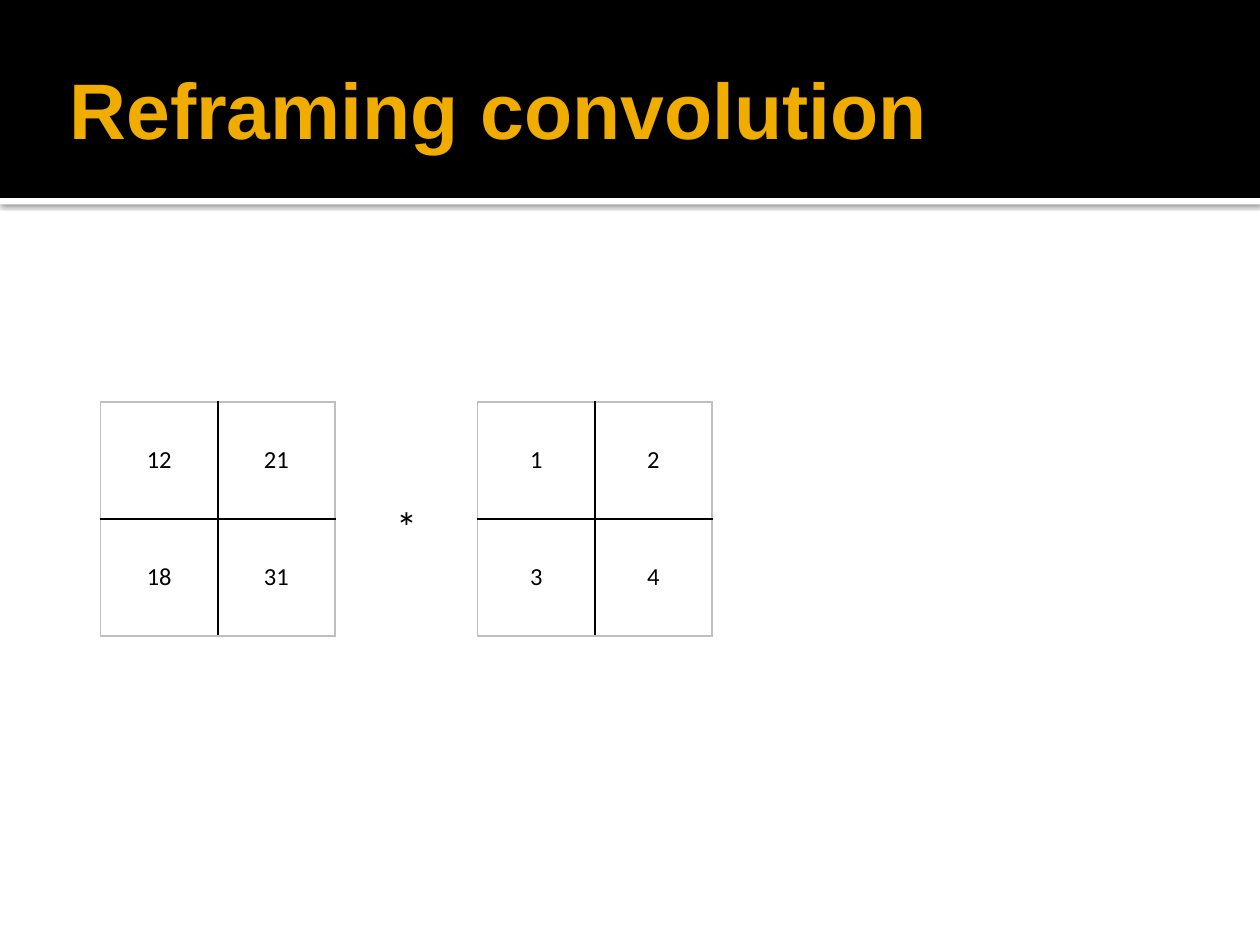
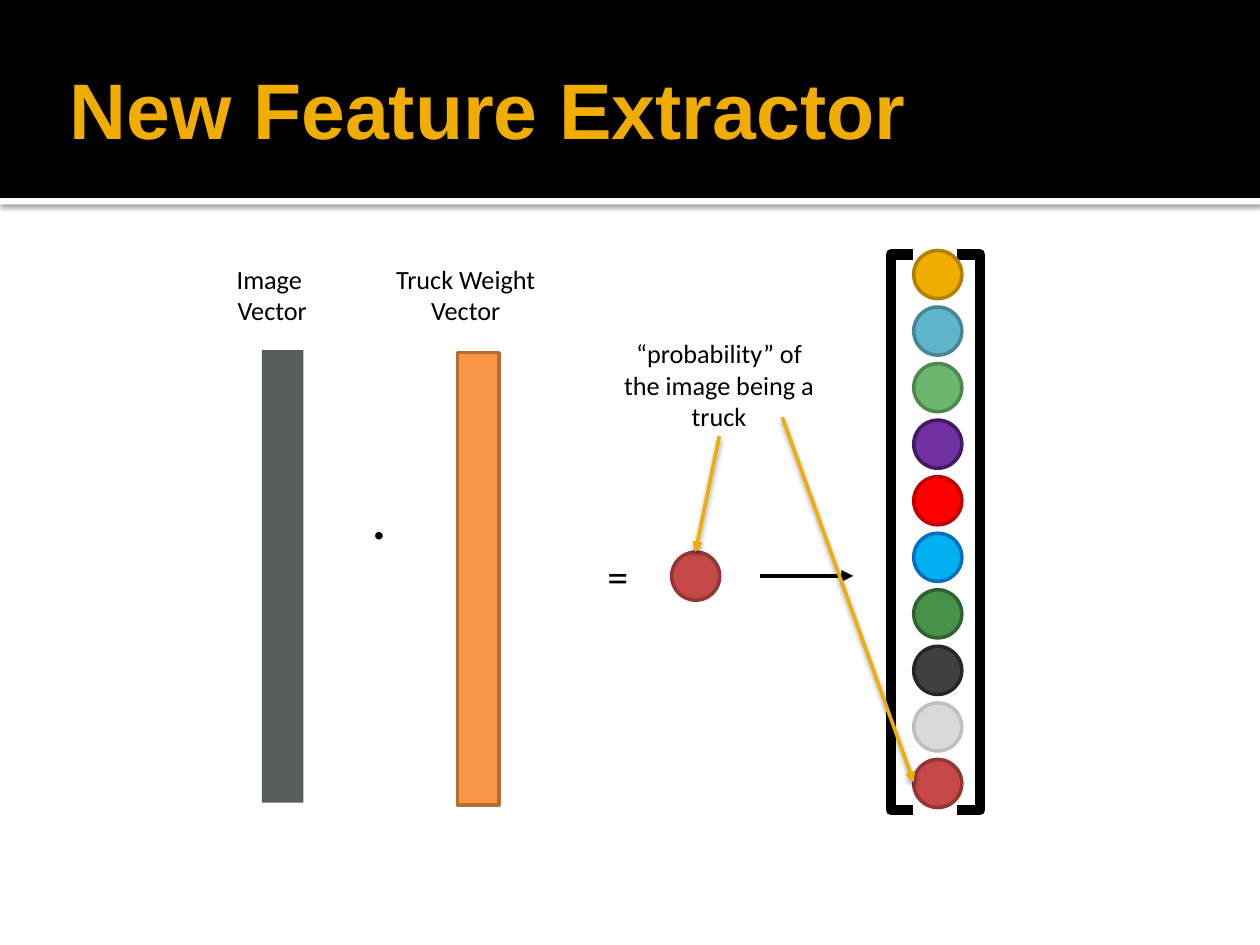
from pptx import Presentation
from pptx.dml.color import RGBColor
from pptx.enum.shapes import MSO_CONNECTOR, MSO_SHAPE
from pptx.enum.text import MSO_ANCHOR, PP_ALIGN
from pptx.oxml import parse_xml
from pptx.oxml.ns import nsdecls, qn
from pptx.util import Cm, Pt

RECT, OVAL = MSO_SHAPE.RECTANGLE, MSO_SHAPE.OVAL
STRAIGHT = MSO_CONNECTOR.STRAIGHT
TOP, MIDDLE = MSO_ANCHOR.TOP, MSO_ANCHOR.MIDDLE
LEFT, CENTER = PP_ALIGN.LEFT, PP_ALIGN.CENTER

TITLE_FONT, BODY_FONT = "Arial", "Calibri"
BLACK = RGBColor(0x00, 0x00, 0x00)
WHITE = RGBColor(0xFF, 0xFF, 0xFF)
GOLD = RGBColor(0xF0, 0xAD, 0x00)
SLATE = RGBColor(0x57, 0x5D, 0x59)
ORANGE = RGBColor(0xF8, 0x96, 0x46)
BROWN = RGBColor(0xB7, 0x6D, 0x31)
FRAME_GREY = RGBColor(0xBF, 0xBF, 0xBF)

# Fill and outline of each class score, top to bottom
TRUCK = (RGBColor(0xC6, 0x48, 0x47), RGBColor(0x92, 0x35, 0x35))
SCORES = [
    (GOLD, RGBColor(0xB2, 0x80, 0x00)),
    (RGBColor(0x60, 0xB5, 0xCC), RGBColor(0x47, 0x86, 0x97)),
    (RGBColor(0x6B, 0xB7, 0x6D), RGBColor(0x4F, 0x87, 0x51)),
    (RGBColor(0x70, 0x30, 0xA0), RGBColor(0x42, 0x19, 0x62)),
    (RGBColor(0xFF, 0x00, 0x00), RGBColor(0xC0, 0x00, 0x00)),
    (RGBColor(0x00, 0xB0, 0xF0), RGBColor(0x00, 0x70, 0xC0)),
    (RGBColor(0x47, 0x92, 0x49), RGBColor(0x2F, 0x62, 0x31)),
    (RGBColor(0x40, 0x40, 0x40), RGBColor(0x26, 0x26, 0x26)),
    (RGBColor(0xD9, 0xD9, 0xD9), FRAME_GREY),
    TRUCK,
]
DOT = 0.97      # circle diameter, cm
CELL = 2.36     # matrix cell side, cm


def add_run(p, text, size, font=BODY_FONT, color=BLACK, bold=False):
    r = p.add_run()
    r.text = text
    r.font.name, r.font.size, r.font.bold = font, Pt(size), bold
    r.font.color.rgb = color


def set_effect(sp_pr, alpha=None, dist=0):
    """Replace the effects with a soft downward shadow, or with none."""
    for old in sp_pr.findall(qn("a:effectLst")):
        sp_pr.remove(old)
    shadow = "" if alpha is None else (
        f'<a:outerShdw blurRad="{Pt(3)}" dist="{Pt(dist)}" dir="5400000" '
        f'rotWithShape="0"><a:srgbClr val="{BLACK}">'
        f'<a:alpha val="{alpha * 1000}"/></a:srgbClr></a:outerShdw>')
    sp_pr.append(parse_xml(
        f'<a:effectLst {nsdecls("a")}>{shadow}</a:effectLst>'))


def add_box(s, kind, x, y, w, h, fill=None, line=None, width=2):
    sp = s.shapes.add_shape(kind, Cm(x), Cm(y), Cm(w), Cm(h))
    sp.shadow.inherit = False
    if fill is None:
        sp.fill.background()
    else:
        sp.fill.solid()
        sp.fill.fore_color.rgb = fill
    if line is None:
        sp.line.fill.background()
    else:
        sp.line.color.rgb = line
        sp.line.width = Pt(width)
    return sp


def add_dot(s, x, y, colors):
    add_box(s, OVAL, x, y, DOT, DOT, *colors)


def add_label(s, x, y, w, h, lines, size, anchor=TOP):
    tf = s.shapes.add_textbox(Cm(x), Cm(y), Cm(w), Cm(h)).text_frame
    tf.word_wrap = True
    tf.vertical_anchor = anchor
    for i, line in enumerate(lines):
        p = tf.add_paragraph() if i else tf.paragraphs[0]
        p.alignment = CENTER
        add_run(p, line, size)


def add_arrow(s, x1, y1, x2, y2, color, width, shadow=()):
    c = s.shapes.add_connector(STRAIGHT, Cm(x1), Cm(y1), Cm(x2), Cm(y2))
    c.line.color.rgb = color
    c.line.width = Pt(width)
    sp_pr = c._element.spPr
    sp_pr.find(qn("a:ln")).append(
        parse_xml(f'<a:tailEnd {nsdecls("a")} type="triangle"/>'))
    set_effect(sp_pr, *shadow)


def set_borders(cell, colors):
    tc_pr = cell._tc.get_or_add_tcPr()
    for side, color in zip("LRTB", colors):
        tc_pr.append(parse_xml(
            f'<a:ln{side} {nsdecls("a")} w="{Pt(1)}"><a:solidFill>'
            f'<a:srgbClr val="{color}"/></a:solidFill></a:ln{side}>'))


def add_matrix(s, x, y, values):
    rows, cols = len(values), len(values[0])
    table = s.shapes.add_table(rows, cols, Cm(x), Cm(y),
                               Cm(cols * CELL), Cm(rows * CELL)).table
    table.first_row = table.horz_banding = False
    for i, row in enumerate(values):
        table.rows[i].height = Cm(CELL)
        for j, value in enumerate(row):
            table.columns[j].width = Cm(CELL)
            cell = table.cell(i, j)
            # Grey outer frame, black inner rules
            outer = (j == 0, j == cols - 1, i == 0, i == rows - 1)
            set_borders(cell, [FRAME_GREY if o else BLACK for o in outer])
            cell.fill.solid()
            cell.fill.fore_color.rgb = WHITE
            cell.vertical_anchor = MIDDLE
            cell.margin_left = cell.margin_right = Cm(0.2)
            cell.margin_top = cell.margin_bottom = Cm(0.1)
            p = cell.text_frame.paragraphs[0]
            p.alignment = CENTER
            add_run(p, str(value), 14)


def add_header(s):
    """Black title band with a shadowed white strip, behind the title."""
    strip = add_box(s, RECT, 0, 3.99, 25.4, 0.13, WHITE)
    set_effect(strip._element.spPr, 60, 0.8)
    band = add_box(s, RECT, 0, 0, 25.4, 3.99, BLACK)
    for sp in (band, strip):
        s.shapes._spTree.insert(2, sp._element)


def add_titled_slide(prs, title):
    s = prs.slides.add_slide(prs.slide_layouts[5])
    add_header(s)
    sp = s.shapes.title
    sp.left, sp.top, sp.width, sp.height = Cm(1.27), Cm(0.43), Cm(22.86), Cm(3.48)
    tf = sp.text_frame
    tf.vertical_anchor = MIDDLE
    tf.margin_left = tf.margin_right = tf.margin_top = tf.margin_bottom = Cm(0.13)
    p = tf.paragraphs[0]
    p.alignment = LEFT
    add_run(p, title, 45, TITLE_FONT, GOLD, True)
    return s


def build_convolution(prs):
    s = add_titled_slide(prs, "Reframing convolution")
    add_matrix(s, 9.63, 8.1, [[1, 2], [3, 4]])
    add_label(s, 7.65, 9.96, 1.09, 1.27, ["*"], 24, MIDDLE)
    add_matrix(s, 2.03, 8.1, [[12, 21], [18, 31]])


def build_extractor(prs):
    s = add_titled_slide(prs, "New Feature Extractor")

    # Image vector . weight vector =
    add_box(s, RECT, 9.22, 7.11, 0.84, 9.12, ORANGE, BROWN)
    add_box(s, RECT, 5.28, 7.06, 0.84, 9.12, SLATE)
    add_label(s, 3.99, 5.18, 3, 1.55, ["Image ", "Vector"], 15)
    add_label(s, 7.04, 5.18, 4.7, 1.55, ["Truck Weight Vector"], 15)
    add_label(s, 6.99, 9.47, 1.3, 1.8, ["."], 36, MIDDLE)
    add_label(s, 11.91, 10.97, 1.09, 1.27, ["="], 24, MIDDLE)

    # Bracketed column of class scores
    add_box(s, RECT, 17.96, 5.13, 1.8, 11.2, None, BLACK, 6)
    add_box(s, RECT, 18.44, 4.6, 0.81, 11.99, WHITE, WHITE)
    for i, colors in enumerate(SCORES):
        add_dot(s, 18.42, 5.05 + 1.14 * i, colors)

    # Truck score and its place in the column
    add_dot(s, 13.54, 11.13, TRUCK)
    add_label(s, 12.22, 6.68, 4.55, 2.18,
              ["“probability” of the image being a truck"], 15)
    add_arrow(s, 15.32, 11.61, 17.2, 11.61, BLACK, 2.25)
    add_arrow(s, 14.5, 8.79, 14.02, 11.13, GOLD, 2, (38, 2))
    add_arrow(s, 15.77, 8.41, 18.42, 15.77, GOLD, 2, (38, 2))


def main():
    prs = Presentation()
    prs.slide_width, prs.slide_height = Cm(25.4), Cm(19.05)
    build_convolution(prs)
    build_extractor(prs)
    prs.save("out.pptx")


if __name__ == "__main__":
    main()
